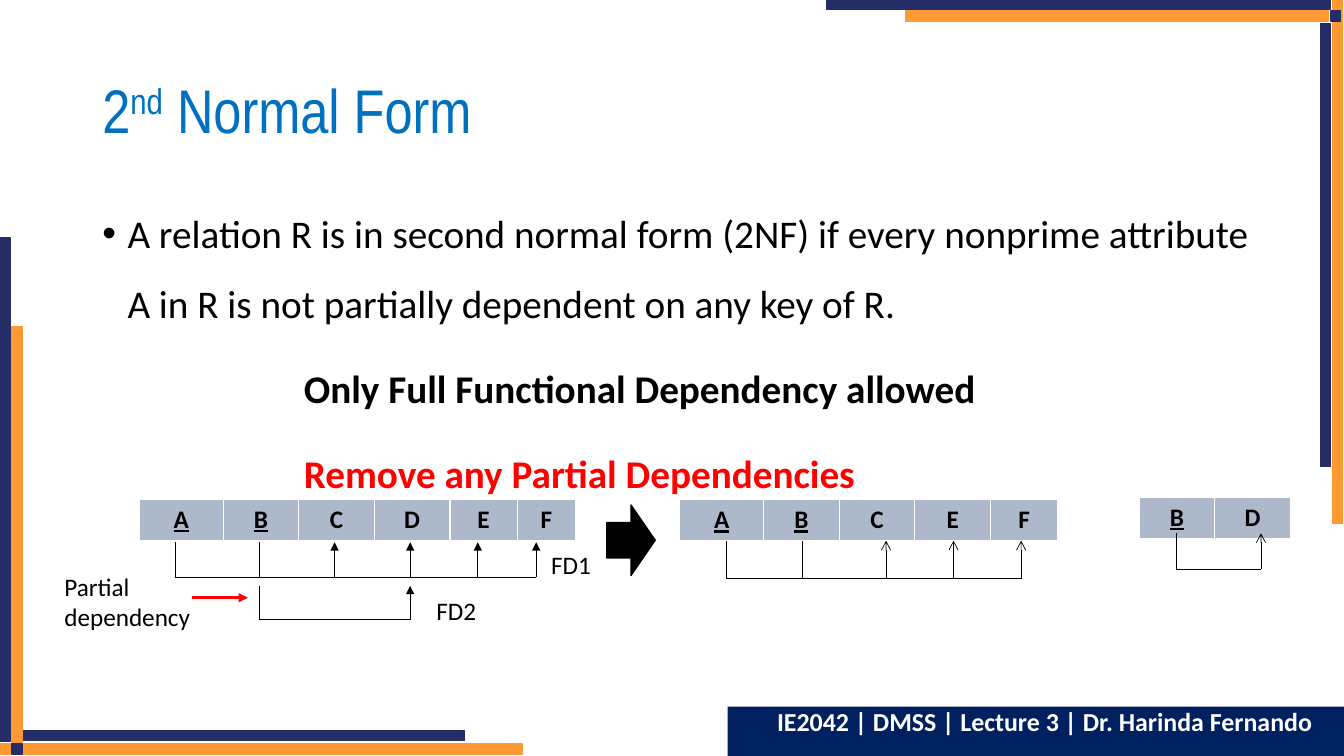
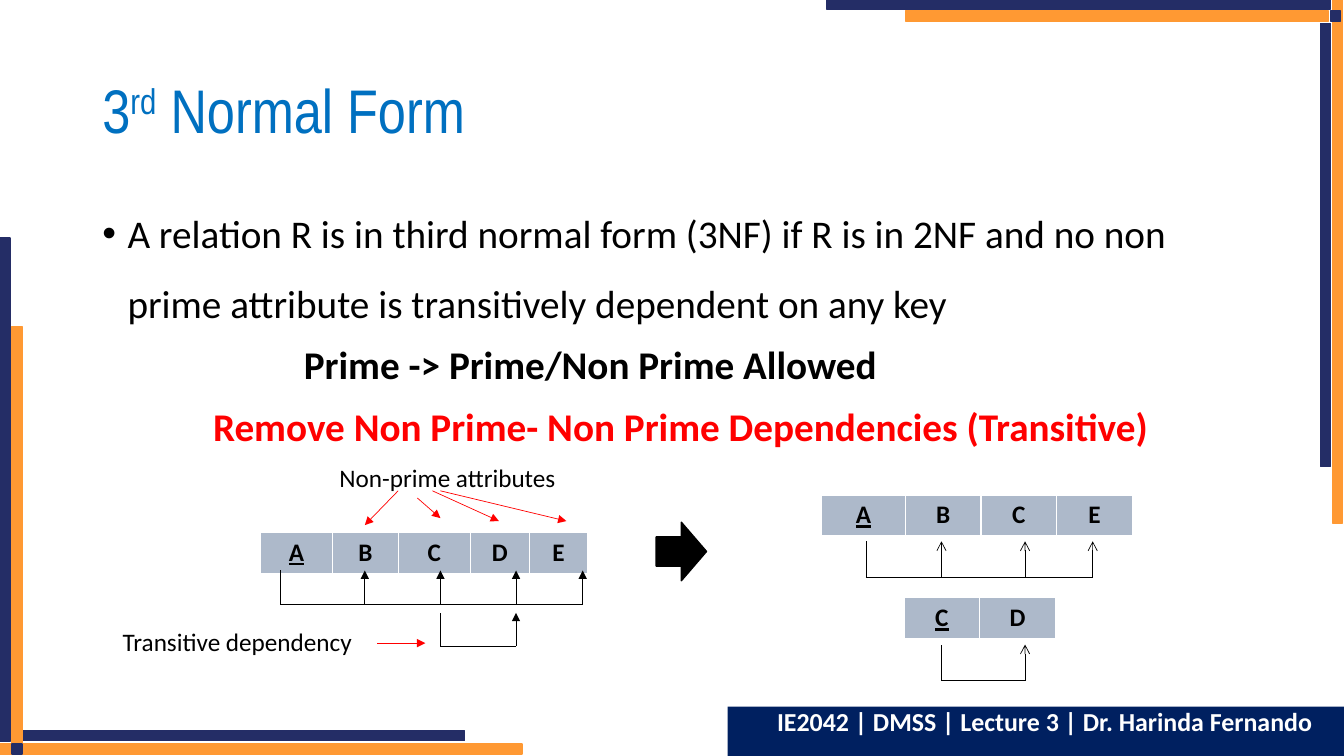
from dataclasses import dataclass

from lxml import etree
from pptx import Presentation
from pptx import util as u
from pptx.dml.color import RGBColor
from pptx.enum import shapes, text
from pptx.oxml.ns import qn


# Theme: every colour, font and type size
@dataclass(frozen=True)
class Theme:
    navy: str = "242D66"
    orange: str = "FF9933"
    title_blue: str = "0070C0"
    footer_blue: str = "002060"
    cell: str = "ADB9CA"
    black: str = "000000"
    white: str = "FFFFFF"
    red: str = "FF0000"
    title_font: str = "Arial Narrow"
    body_font: str = "Calibri"
    bullet_font: str = "Arial"
    title_size: float = 44
    body_size: float = 28
    label_size: float = 18
    footer_size: float = 18.5
    thin: float = 0.5
    thick: float = 2.25


THEME = Theme()
ALIGN = text.PP_ALIGN
FOOTER = "IE2042 | DMSS | Lecture 3 | Dr. Harinda Fernando"


# Descriptions of the repeated elements; all lengths in points
@dataclass(frozen=True)
class Box:
    left: float
    top: float
    width: float
    height: float


@dataclass(frozen=True)
class Band:
    box: Box
    color: str


@dataclass(frozen=True)
class Statement:
    words: str
    color: str = THEME.black
    bold: bool = True
    bullet: bool = False
    indent: float = 0
    spacing: float = 1.0
    align: ALIGN = ALIGN.LEFT


@dataclass(frozen=True)
class Relation:
    left: float
    top: float
    attributes: str
    keys: str
    widths: tuple[float, ...]


@dataclass(frozen=True)
class Dependency:
    sources: tuple[float, ...]
    targets: tuple[float, ...]
    top: float
    bottom: float
    head: str = "triangle"


@dataclass(frozen=True)
class Label:
    words: str
    box: Box
    wrap: bool = False


@dataclass(frozen=True)
class Pointer:
    start: tuple[float, float]
    end: tuple[float, float]
    weight: float = THEME.thin


@dataclass(frozen=True)
class NormalForm:
    ordinal: str
    suffix: str
    statements: tuple[Statement, ...]
    relations: tuple[Relation, ...]
    dependencies: tuple[Dependency, ...]
    labels: tuple[Label, ...]
    pointers: tuple[Pointer, ...]
    block_arrow: Box


BANDS = (
    Band(Box(951.8, -0.7, 7.2, 374.4), THEME.orange),
    Band(Box(943.2, 16.6, 7.2, 316.8), THEME.navy),
    Band(Box(590.4, -0.7, 360, 7.2), THEME.navy),
    Band(Box(646.6, 7.9, 302.4, 7.2), THEME.orange),
    Band(Box(950.4, 7.9, 7.2, 7.2), THEME.navy),
    Band(Box(-1.4, 531.4, 374.4, 7.2), THEME.orange),
    Band(Box(15.1, 522, 316.8, 7.2), THEME.navy),
    Band(Box(0, 169.9, 7.2, 360), THEME.navy),
    Band(Box(8.6, 233.3, 7.2, 302.4), THEME.orange),
    Band(Box(8.6, 531.4, 7.2, 7.2), THEME.navy),
)


# Drawing functions
def points(*lengths: float) -> list:
    return [u.Pt(length) for length in lengths]


def place(box: Box) -> list:
    return points(box.left, box.top, box.width, box.height)


def write(paragraph, words: str, *, size: float = THEME.label_size,
          color: str = THEME.black, font: str = THEME.body_font,
          bold: bool = False, underline: bool = False, raised: bool = False) -> None:
    run = paragraph.add_run()
    run.text = words
    run.font.size = u.Pt(size)
    run.font.name = font
    run.font.color.rgb = RGBColor.from_string(color)
    run.font.bold = bold
    run.font.underline = underline
    if raised:
        run.font._element.set("baseline", "30000")


def indent_paragraph(paragraph, margin: float, first_line: float = 0) -> None:
    properties = paragraph._p.get_or_add_pPr()
    properties.set("marL", str(u.Pt(margin)))
    properties.set("indent", str(u.Pt(first_line)))


def add_bullet(paragraph) -> None:
    properties = paragraph._p.get_or_add_pPr()
    etree.SubElement(properties, qn("a:buFont")).set("typeface", THEME.bullet_font)
    etree.SubElement(properties, qn("a:buChar")).set("char", "•")


def add_frame(slide, box: Box, wrap: bool = True):
    frame = slide.shapes.add_textbox(*place(box)).text_frame
    frame.word_wrap = wrap
    return frame


def add_block(slide, box: Box, color: str, outlined: bool = True,
              kind=shapes.MSO_SHAPE.RECTANGLE):
    shape = slide.shapes.add_shape(kind, *place(box))
    shape.shadow.inherit = False
    shape.fill.solid()
    shape.fill.fore_color.rgb = RGBColor.from_string(color)
    if outlined:
        shape.line.color.rgb = RGBColor.from_string(color)
        shape.line.width = u.Pt(1)
    else:
        shape.line.fill.background()
    return shape


def add_line(slide, start: tuple[float, float], end: tuple[float, float], *,
             color: str = THEME.black, weight: float = THEME.thin,
             head: str | None = None) -> None:
    line = slide.shapes.add_connector(
        shapes.MSO_CONNECTOR.STRAIGHT, *points(*start, *end))
    line.line.color.rgb = RGBColor.from_string(color)
    line.line.width = u.Pt(weight)
    if head:
        etree.SubElement(line.line._get_or_add_ln(), qn("a:tailEnd")).set("type", head)
    etree.SubElement(line._element.spPr, qn("a:effectLst"))


def add_title(slide, form: NormalForm) -> None:
    frame = add_frame(slide, Box(66, 28.8, 828, 104.4))
    frame.vertical_anchor = text.MSO_ANCHOR.MIDDLE
    paragraph = frame.paragraphs[0]
    paragraph.line_spacing = 0.9
    for words, raised in ((form.ordinal, False), (form.suffix, True),
                          (" Normal Form", False)):
        write(paragraph, words, size=THEME.title_size, color=THEME.title_blue,
              font=THEME.title_font, raised=raised)


def add_statements(slide, statements: tuple[Statement, ...]) -> None:
    frame = add_frame(slide, Box(66, 129, 840, 361.4))
    for index, statement in enumerate(statements):
        paragraph = frame.add_paragraph() if index else frame.paragraphs[0]
        paragraph.alignment = statement.align
        paragraph.line_spacing = statement.spacing
        paragraph.space_before = u.Pt(10)
        if statement.bullet:
            indent_paragraph(paragraph, 18, -18)
            add_bullet(paragraph)
        else:
            indent_paragraph(paragraph, statement.indent)
        write(paragraph, statement.words, size=THEME.body_size,
              color=statement.color, bold=statement.bold)


def add_relation(slide, relation: Relation) -> None:
    box = Box(relation.left, relation.top, sum(relation.widths), 29.2)
    table = slide.shapes.add_table(1, len(relation.widths), *place(box)).table
    table.horz_banding = False
    for index, (name, width) in enumerate(zip(relation.attributes, relation.widths)):
        table.columns[index].width = u.Pt(width)
        cell = table.cell(0, index)
        cell.fill.solid()
        cell.fill.fore_color.rgb = RGBColor.from_string(THEME.cell)
        paragraph = cell.text_frame.paragraphs[0]
        paragraph.alignment = ALIGN.CENTER
        write(paragraph, name, bold=True, underline=name in relation.keys)


def add_dependency(slide, dependency: Dependency) -> None:
    ends = dependency.sources + dependency.targets
    add_line(slide, (min(ends), dependency.bottom), (max(ends), dependency.bottom))
    for x in ends:
        add_line(slide, (x, dependency.bottom), (x, dependency.top),
                 head=dependency.head if x in dependency.targets else None)


def add_footer(slide) -> None:
    bar = add_block(slide, Box(519.8, 504.7, 440.6, 35.3), THEME.footer_blue, False)
    bar.text_frame.word_wrap = True
    bar.text_frame.vertical_anchor = text.MSO_ANCHOR.TOP
    paragraph = bar.text_frame.paragraphs[0]
    paragraph.alignment = ALIGN.CENTER
    paragraph.line_spacing = 0.8
    paragraph.space_before = u.Pt(8)
    indent_paragraph(paragraph, 12)
    write(paragraph, FOOTER, size=THEME.footer_size, color=THEME.white, bold=True)


def add_form(presentation, form: NormalForm) -> None:
    slide = presentation.slides.add_slide(presentation.slide_layouts[6])
    for band in BANDS:
        add_block(slide, band.box, band.color)
    add_title(slide, form)
    add_statements(slide, form.statements)
    for relation in form.relations:
        add_relation(slide, relation)
    for dependency in form.dependencies:
        add_dependency(slide, dependency)
    for label in form.labels:
        write(add_frame(slide, label.box, label.wrap).paragraphs[0], label.words)
    for pointer in form.pointers:
        add_line(slide, pointer.start, pointer.end, color=THEME.red,
                 weight=pointer.weight, head="triangle")
    add_block(slide, form.block_arrow, THEME.black, kind=shapes.MSO_SHAPE.RIGHT_ARROW)
    add_footer(slide)


# Content of the two slides
SECOND = NormalForm(
    "2", "nd",
    (Statement("A relation R is in second normal form (2NF) if every nonprime attribute "
               "A in R is not partially dependent on any key of R.",
               bold=False, bullet=True, spacing=1.5),
     Statement("Only Full Functional Dependency allowed", indent=144, spacing=1.5),
     Statement("Remove any Partial Dependencies", THEME.red, indent=144, spacing=1.5)),
    (Relation(99.4, 356.7, "ABCDEF", "AB", (60, 54, 54, 54, 48, 42)),
     Relation(485.5, 356.9, "ABCEF", "AB", (60, 54, 54, 54, 48)),
     Relation(813.6, 355.2, "BD", "B", (54, 54))),
    (Dependency((125.3, 185), (239, 293, 341.3, 383), 387.4, 412.4),
     Dependency((185,), (293,), 418.5, 442.6),
     Dependency((519.1, 573.1), (632.9, 681.1, 729.4), 386.2, 413.3, "arrow"),
     Dependency((840.3,), (900.7,), 380.9, 406.4, "arrow")),
    (Label("Partial dependency", Box(38.9, 404.6, 112.3, 51.1), True),
     Label("FD1", Box(386.6, 388.8, 43.2, 28.8)),
     Label("FD2", Box(304.6, 421.9, 43.2, 28.8))),
    (Pointer((136.8, 427), (177.1, 427), THEME.thick),),
    Box(433.4, 360.7, 34.6, 50.4))

THIRD = NormalForm(
    "3", "rd",
    (Statement("A relation R is in third normal form (3NF) if R is in 2NF and no non "
               "prime attribute is transitively dependent on any key",
               bold=False, bullet=True, spacing=1.5),
     Statement("Prime -> Prime/Non Prime Allowed", indent=144),
     Statement("Remove Non Prime- Non Prime Dependencies (Transitive)", THEME.red,
               align=ALIGN.CENTER)),
    (Relation(186, 380.2, "ABCDE", "A", (51.7, 46.7, 51.7, 42, 42)),
     Relation(586.8, 353.5, "ABCE", "A", (60, 54, 54, 54)),
     Relation(645.8, 427, "CD", "C", (54, 54))),
    (Dependency((200.2,), (260.6, 314.6, 368.6, 416.2), 407.5, 431.8),
     Dependency((314.6,), (368.6,), 437.8, 461.5),
     Dependency((618.5,), (672.5, 732.2, 780.5), 386.7, 412.7, "arrow"),
     Dependency((672.5,), (732.2,), 460.4, 486.2, "arrow")),
    (Label("Non-prime attributes", Box(235.4, 326.9, 170.6, 28.8)),
     Label("Transitive dependency", Box(80.6, 444.2, 180, 28.8))),
    (Pointer((284.4, 350.6), (260.6, 375.1)),
     Pointer((298.1, 355.7), (314.6, 370.1)),
     Pointer((308.9, 350.6), (356.4, 372.2)),
     Pointer((314.6, 350.6), (404.6, 372.2)),
     Pointer((269.3, 459.4), (303.8, 459.4))),
    Box(468.7, 373, 36, 41.8))

# Build and save
presentation = Presentation()
presentation.slide_width, presentation.slide_height = points(960, 540)
for normal_form in (SECOND, THIRD):
    add_form(presentation, normal_form)
presentation.save("out.pptx")
